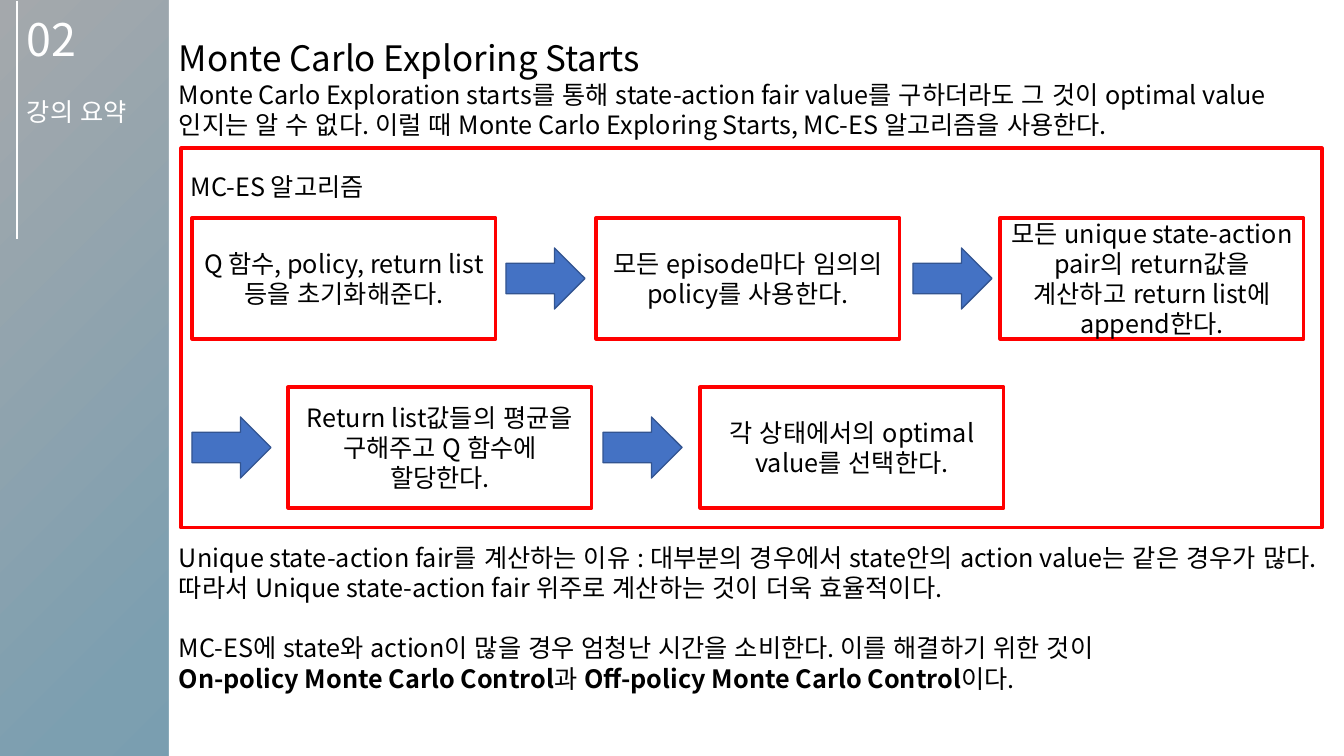
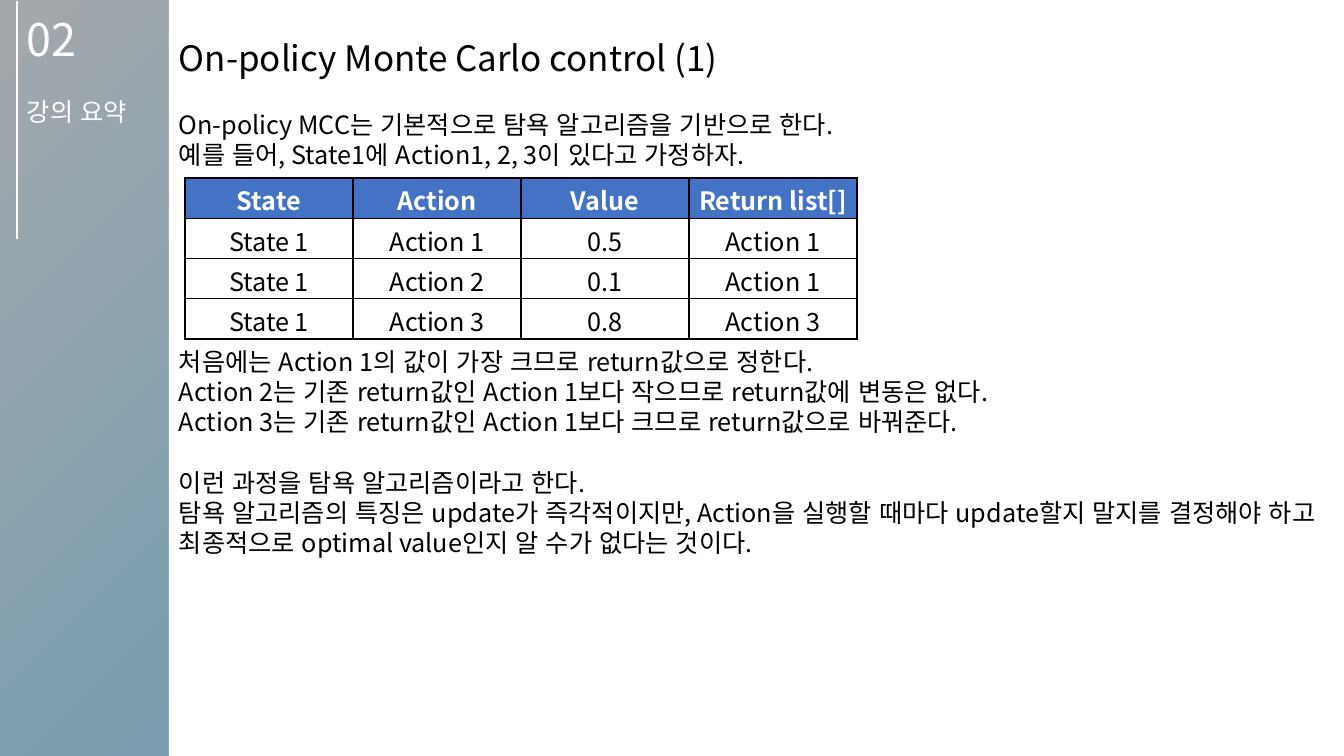
from lxml import etree
from pptx import Presentation
from pptx.dml.color import RGBColor
from pptx.enum.lang import MSO_LANGUAGE_ID as LANG
from pptx.enum.shapes import MSO_CONNECTOR, MSO_SHAPE
from pptx.enum.text import MSO_ANCHOR as ANCHOR, PP_ALIGN as ALIGN
from pptx.oxml import parse_xml
from pptx.oxml.ns import nsdecls, qn
from pptx.util import Emu, Pt

SCALE = 914400 / 100.8
FONT = "Noto Sans CJK KR"
BODY, TITLE, NUMBER = 18, 25, 32
LEADING = 1.2
LINE = BODY * LEADING
PAGE_X, PAGE_W = 169, 1175
COLORS = {
    "white": "FFFFFF", "black": "000000", "red": "FF0000",
    "blue": "4472C4", "edge": "325491",
    "mist": "A4A8AC", "haze": "7C9FB0", "sea": "4990B1",
}
BACKDROP = [(0, "mist"), (39, "haze"), (100, "sea")]


def px(length):
    return Emu(round(length * SCALE))


def rgb(name):
    return RGBColor.from_string(COLORS[name])


def write(frame, text, size=BODY, color="black", align=ALIGN.LEFT, bold=False, gap=0):
    """Add one paragraph; parts between ** marks are bold."""
    first = frame.paragraphs[0]
    paragraph = first if not first.runs else frame.add_paragraph()
    paragraph.alignment = align
    paragraph.line_spacing = Pt(size * LEADING)
    paragraph.space_before = Pt(gap)
    for i, part in enumerate(text.split("**")):
        if not part:
            continue
        run = paragraph.add_run()
        run.text = part
        font = run.font
        font.name, font.size = FONT, Pt(size)
        font.bold = bold or i % 2 == 1
        font.color.rgb = rgb(color)
        font.language_id = LANG.KOREAN
        east_asian = etree.SubElement(run._r.get_or_add_rPr(), qn("a:ea"))
        east_asian.set("typeface", FONT)


class Deck:
    def __init__(self):
        self.prs = Presentation()
        self.prs.slide_width, self.prs.slide_height = px(1344), px(756)
        self.slide = None

    # Shared page: gradient, white page, side label, title
    def page(self, title):
        self.slide = self.prs.slides.add_slide(self.prs.slide_layouts[6])
        self.backdrop()
        self.box(PAGE_X, 0, PAGE_W, 756, fill="white")
        self.rule(17, 1, 17, 239)
        label = self.text(17, 0, 141, 138, anchor=ANCHOR.MIDDLE)
        write(label, "02", size=NUMBER, color="white")
        write(label, "강의 요약", color="white", gap=LINE)
        heading = self.text(PAGE_X, 32, PAGE_W, 144)
        write(heading, title, size=TITLE)
        return heading

    def backdrop(self):
        stops = "".join(
            f'<a:gs pos="{at * 1000}"><a:srgbClr val="{COLORS[name]}"/></a:gs>'
            for at, name in BACKDROP)
        self.slide.element.cSld.insert(0, parse_xml(
            f'<p:bg {nsdecls("p", "a")}><p:bgPr><a:gradFill rotWithShape="1">'
            f'<a:gsLst>{stops}</a:gsLst><a:path path="circle">'
            '<a:fillToRect r="100000" b="100000"/></a:path></a:gradFill>'
            '<a:effectLst/></p:bgPr></p:bg>'))

    def box(self, x, y, w, h, fill=None, line=None, width=2.25, kind=MSO_SHAPE.RECTANGLE):
        shape = self.slide.shapes.add_shape(kind, px(x), px(y), px(w), px(h))
        shape.shadow.inherit = False
        if fill:
            shape.fill.solid()
            shape.fill.fore_color.rgb = rgb(fill)
        else:
            shape.fill.background()
        if line:
            shape.line.color.rgb = rgb(line)
            shape.line.width = Pt(width)
        else:
            shape.line.fill.background()
        return shape.text_frame

    def rule(self, x1, y1, x2, y2):
        line = self.slide.shapes.add_connector(
            MSO_CONNECTOR.STRAIGHT, px(x1), px(y1), px(x2), px(y2))
        line.line.color.rgb = rgb("white")
        line.line.width = Pt(1.5)
        etree.SubElement(line._element.spPr, qn("a:effectLst"))

    def text(self, x, y, w, h, anchor=ANCHOR.TOP):
        frame = self.slide.shapes.add_textbox(px(x), px(y), px(w), px(h)).text_frame
        frame.word_wrap = True
        frame.vertical_anchor = anchor
        return frame

    def step(self, x, y, text):
        write(self.box(x, y, 304, 121, fill="white", line="red"), text, align=ALIGN.CENTER)

    def arrow(self, x, y):
        self.box(x, y, 79, 61, fill="blue", line="edge", width=1, kind=MSO_SHAPE.RIGHT_ARROW)

    def table(self, x, y, column, row, rows):
        grid = self.slide.shapes.add_table(
            len(rows), len(rows[0]), px(x), px(y),
            px(column * len(rows[0])), px(row * len(rows))).table
        for r, values in enumerate(rows):
            grid.rows[r].height = px(row)
            for c, value in enumerate(values):
                cell = grid.cell(r, c)
                header = r == 0
                cell.margin_left = cell.margin_right = px(4)
                cell.margin_top, cell.margin_bottom = px(10), 0
                cell.fill.solid()
                cell.fill.fore_color.rgb = rgb("blue" if header else "white")
                write(cell.text_frame, value, align=ALIGN.CENTER, bold=header,
                      color="white" if header else "black")
                self.borders(cell)

    def borders(self, cell):
        for i, side in enumerate(("lnL", "lnR", "lnT", "lnB")):
            cell._tc.get_or_add_tcPr().insert(i, parse_xml(
                f'<a:{side} {nsdecls("a")} w="{Pt(1)}"><a:solidFill>'
                f'<a:srgbClr val="{COLORS["black"]}"/></a:solidFill></a:{side}>'))


deck = Deck()

# Slide 1: exploring starts
intro = deck.page("Monte Carlo Exploring Starts")
write(intro, "Monte Carlo Exploration starts를 통해 state-action fair value를 구하더라도 "
             "그 것이 optimal value인지는 알 수 없다. 이럴 때 Monte Carlo Exploring Starts, "
             "MC-ES 알고리즘을 사용한다.")

algorithm = deck.box(181, 148, 1141, 380, line="red")
algorithm.vertical_anchor = ANCHOR.TOP
algorithm.margin_top = px(23)
write(algorithm, "MC-ES 알고리즘")

first_row = [
    "Q 함수, policy, return list등을 초기화해준다.",
    "모든 episode마다 임의의 policy를 사용한다.",
    "모든 unique state-action pair의 return값을 계산하고 return list에 append한다.",
]
second_row = [
    "Return list값들의 평균을 구해주고 Q 함수에 할당한다.",
    "각 상태에서의 optimal value를 선택한다.",
]
for i, step in enumerate(first_row):
    deck.step(192 + 404 * i, 218, step)
for i, step in enumerate(second_row):
    deck.step(288 + 412 * i, 387, step)
for i in range(2):
    deck.arrow(506 + 407 * i, 248)
    deck.arrow(192 + 411 * i, 417)

reasons = deck.text(PAGE_X, 537, PAGE_W, 194)
write(reasons, "Unique state-action fair를 계산하는 이유 : 대부분의 경우에서 state안의 "
               "action value는 같은 경우가 많다. 따라서 Unique state-action fair 위주로 "
               "계산하는 것이 더욱 효율적이다.")
write(reasons, "MC-ES에 state와 action이 많을 경우 엄청난 시간을 소비한다. "
               "이를 해결하기 위한 것이 ", gap=LINE)
write(reasons, "**On-policy Monte Carlo Control**과 **Off-policy Monte Carlo Control**이다.")

# Slide 2: on-policy control
premise = deck.page("On-policy Monte Carlo control (1)")
write(premise, "On-policy MCC는 기본적으로 탐욕 알고리즘을 기반으로 한다.", gap=LINE)
write(premise, "예를 들어, State1에 Action1, 2, 3이 있다고 가정하자.")

deck.table(185, 178, 168, 40, [
    ("State", "Action", "Value", "Return list[]"),
    ("State 1", "Action 1", "0.5", "Action 1"),
    ("State 1", "Action 2", "0.1", "Action 1"),
    ("State 1", "Action 3", "0.8", "Action 3"),
])

outcome = deck.text(PAGE_X, 341, PAGE_W, 224)
write(outcome, "처음에는 Action 1의 값이 가장 크므로 return값으로 정한다. ")
write(outcome, "Action 2는 기존 return값인 Action 1보다 작으므로 return값에 변동은 없다.")
write(outcome, "Action 3는 기존 return값인 Action 1보다 크므로 return값으로 바꿔준다.")
write(outcome, "이런 과정을 탐욕 알고리즘이라고 한다.", gap=LINE)
write(outcome, "탐욕 알고리즘의 특징은 update가 즉각적이지만, Action을 실행할 때마다 "
               "update할지 말지를 결정해야 하고 최종적으로 optimal value인지 알 수가 "
               "없다는 것이다.")

deck.prs.save("out.pptx")
